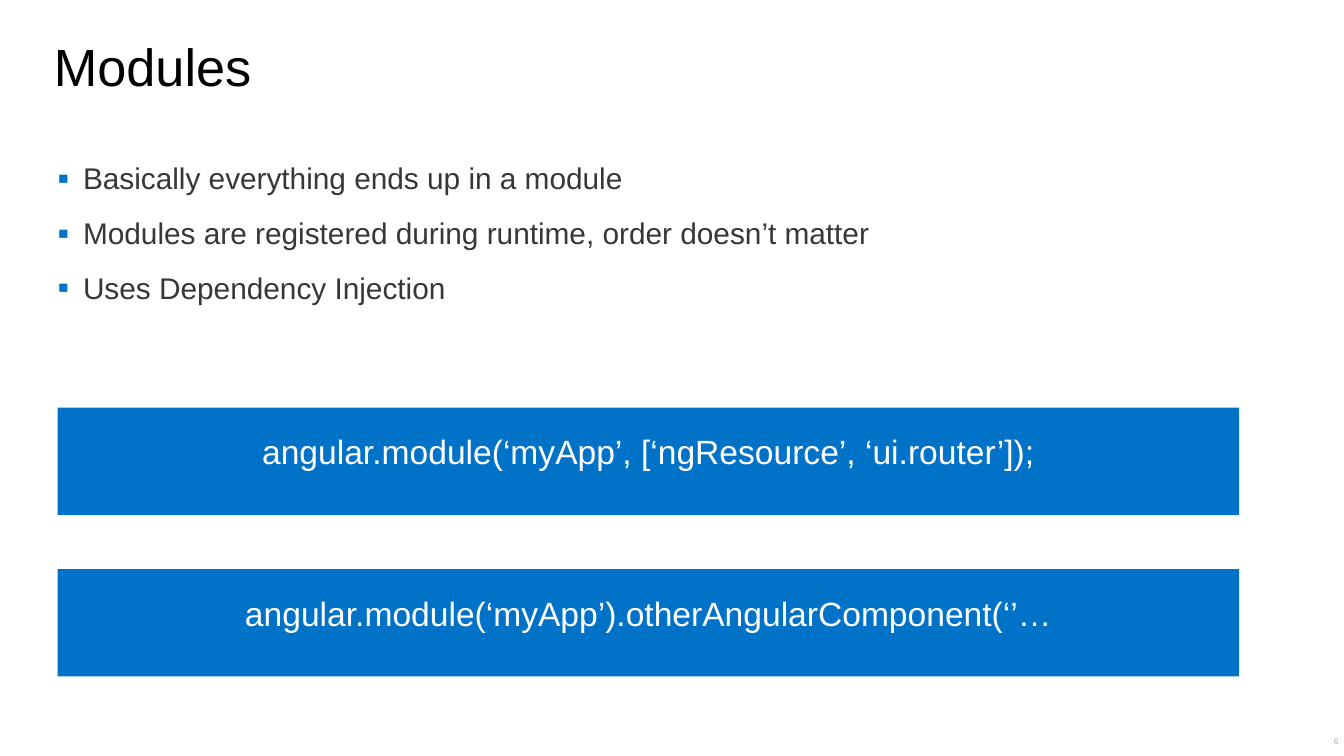
import pptx
import pptx.dml.color
import pptx.enum.shapes
import pptx.enum.text
import pptx.oxml
import pptx.oxml.ns
import pptx.util
from pptx.util import Cm, Pt

RGBColor = pptx.dml.color.RGBColor
Align = pptx.enum.text.PP_ALIGN
Anchor = pptx.enum.text.MSO_ANCHOR

BLUE = RGBColor(0x00, 0x72, 0xC8)
BLACK = RGBColor(0x00, 0x00, 0x00)
DARK_GREY = RGBColor(0x37, 0x37, 0x37)
LIGHT_GREY = RGBColor(0xA6, 0xA6, 0xA6)
WHITE = RGBColor(0xFF, 0xFF, 0xFF)

LEFT = Cm(1.09)
BULLETS = [
    "Basically everything ends up in a module",
    "Modules are registered during runtime, order doesn’t matter",
    "Uses Dependency Injection",
]
CODE_LINES = [
    "angular.module(‘myApp’, [‘ngResource’, ‘ui.router’]);",
    "angular.module(‘myApp’).otherAngularComponent(‘’…",
]


def write_text(shape, lines, size, color, margins, anchor, paragraph_format):
    """Fill a shape with one formatted paragraph per line."""
    frame = shape.text_frame
    frame_format = dict(
        zip(("margin_left", "margin_top", "margin_right", "margin_bottom"), margins),
        word_wrap=True,
        auto_size=pptx.enum.text.MSO_AUTO_SIZE.NONE,
        vertical_anchor=anchor,
    )
    for name, value in frame_format.items():
        setattr(frame, name, value)
    frame.text = "\n".join(lines)
    for paragraph in frame.paragraphs:
        for name, value in paragraph_format.items():
            setattr(paragraph, name, value)
        for name, value in {"name": "Arial", "size": Pt(size)}.items():
            setattr(paragraph.runs[0].font, name, value)
        paragraph.runs[0].font.color.rgb = color


def add_bullet(paragraph):
    """Give a paragraph a hanging blue square bullet."""
    properties = paragraph._p.get_or_add_pPr()
    properties.set("marL", str(Cm(0.48)))
    properties.set("indent", str(-Cm(0.48)))
    namespace = pptx.oxml.ns.nsdecls("a")
    for xml in (
        f'<a:buClr {namespace}><a:srgbClr val="{BLUE}"/></a:buClr>',
        f'<a:buSzPct {namespace} val="110000"/>',
        f'<a:buFont {namespace} typeface="Arial"/>',
        f'<a:buChar {namespace} char="▪"/>',
    ):
        properties.append(pptx.oxml.parse_xml(xml))


presentation = pptx.Presentation()
presentation.slide_width = Cm(25.4)
presentation.slide_height = Cm(14.28)
slide = presentation.slides.add_slide(presentation.slide_layouts[5])

# Title
title = slide.shapes.title
title_place = {"left": Cm(0.64), "top": Cm(0.58), "width": Cm(24.13), "height": Cm(1.42)}
for name, value in title_place.items():
    setattr(title, name, value)
write_text(title, ["Modules"], 28, BLACK, (Cm(0.38), Cm(0.2), Cm(0.38), Cm(0.13)),
           Anchor.TOP, {"alignment": Align.LEFT, "line_spacing": 0.9})

# Bullet list
bullet_box = slide.shapes.add_textbox(LEFT, Cm(2.97), Cm(23.22), Cm(4.01))
write_text(bullet_box, BULLETS, 16, DARK_GREY, (0, Cm(0.13), 0, Cm(0.13)),
           Anchor.TOP, {"line_spacing": 0.9, "space_before": Pt(12)})
for paragraph in bullet_box.text_frame.paragraphs:
    add_bullet(paragraph)

# Code bars
for index, code in enumerate(CODE_LINES):
    bar = slide.shapes.add_shape(
        pptx.enum.shapes.MSO_SHAPE.RECTANGLE,
        LEFT, Cm(7.7 + index * 3.05), Cm(22.33), Cm(2.03))
    bar.shadow.inherit = False
    bar.fill.solid()
    bar.fill.fore_color.rgb = BLUE
    bar.line.fill.background()
    write_text(bar, [code], 18, WHITE, (0, 0, 0, Cm(0.38)),
               Anchor.MIDDLE, {"alignment": Align.CENTER})

# Slide number
number_box = slide.shapes.add_textbox(Cm(19.38), Cm(13.79), Cm(5.92), Cm(0.41))
write_text(number_box, ["6"], 4.5, LIGHT_GREY, (Cm(0.25), 0, Cm(0.25), 0),
           Anchor.MIDDLE, {"alignment": Align.RIGHT})
number_box.text_frame.margin_right = 0

presentation.save("out.pptx")
